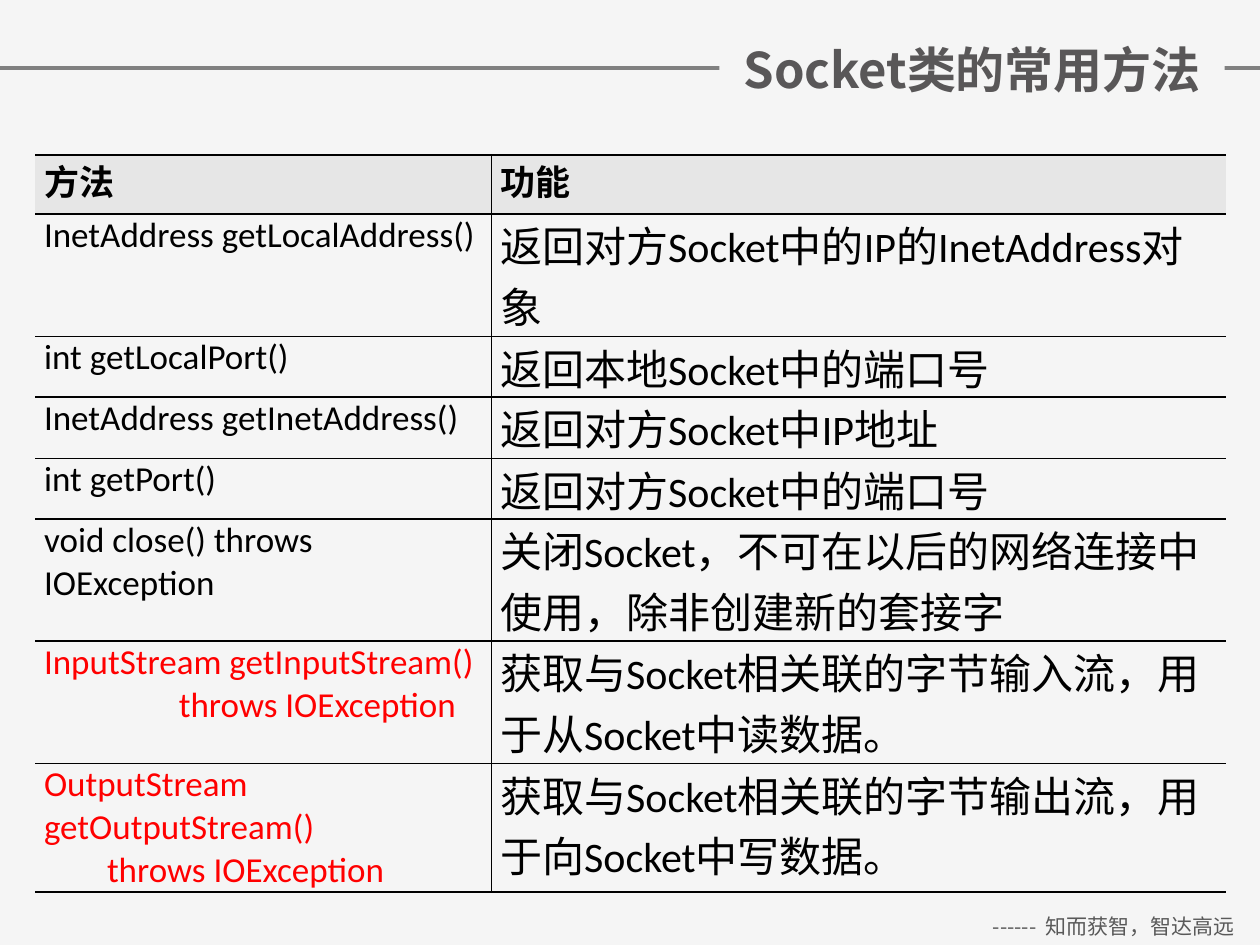
from lxml import etree
from pptx import Presentation, util as u
from pptx.dml.color import RGBColor
from pptx.enum import shapes, text
from pptx.oxml.ns import qn

COLORS = {"bg": "F5F5F5", "rule": "808080", "title": "595758", "footer": "595959",
          "header": "E6E6E6", "black": "000000", "red": "FF0000"}
CJK = "Noto Sans CJK SC"


def style(p, size, color, name, bold=False, align=None):
    p.alignment = align
    p.font.size = u.Pt(size)
    p.font.name = name
    p.font.bold = bold
    p.font.color.rgb = RGBColor.from_string(COLORS[color])


def border(cell, side, width):
    ln = etree.SubElement(cell._tc.get_or_add_tcPr(), qn(f"a:ln{side}"), w=str(u.Pt(width)))
    if width:
        fill = etree.SubElement(ln, qn("a:solidFill"))
        etree.SubElement(fill, qn("a:srgbClr"), val=COLORS["black"])
    else:
        etree.SubElement(ln, qn("a:noFill"))


prs = Presentation()
prs.slide_width, prs.slide_height = u.Inches(10), u.Inches(7.5)
s = prs.slides.add_slide(prs.slide_layouts[6])
s.background.fill.solid()
s.background.fill.fore_color.rgb = RGBColor.from_string(COLORS["bg"])

# Rule across the top
rule = s.shapes.add_connector(shapes.MSO_CONNECTOR.STRAIGHT, u.Inches(0), u.Inches(0.54),
                              u.Inches(10), u.Inches(0.54))
rule.line.color.rgb = RGBColor.from_string(COLORS["rule"])
rule.line.width = u.Pt(2)
etree.SubElement(rule._element.spPr, qn("a:effectLst"))

# Footer motto
tb = s.shapes.add_textbox(u.Inches(7.68), u.Inches(7.2), u.Inches(2.32), u.Inches(0.3))
tb.text_frame.word_wrap = True
tb.text_frame.auto_size = text.MSO_AUTO_SIZE.SHAPE_TO_FIT_TEXT
p = tb.text_frame.paragraphs[0]
p.text = "------  知而获智，智达高远"
style(p, 12, "footer", CJK, align=text.PP_ALIGN.CENTER)

# Title, covering part of the rule
sp = s.shapes.add_shape(shapes.MSO_SHAPE.RECTANGLE, u.Inches(5.71), u.Inches(0.26),
                        u.Inches(4.01), u.Inches(0.57))
sp.shadow.inherit = False
sp.fill.solid()
sp.fill.fore_color.rgb = RGBColor.from_string(COLORS["bg"])
sp.line.fill.background()
tf = sp.text_frame
tf.word_wrap = True
tf.vertical_anchor = text.MSO_ANCHOR.MIDDLE
p = tf.paragraphs[0]
p.text = "Socket类的常用方法"
style(p, 28, "title", CJK, bold=True, align=text.PP_ALIGN.CENTER)

# Method table: height, method, function, indent of the throws clause, method colour
rows = [
    (0.47, "方法", "功能", 0, "black"),
    (0.97, "InetAddress getLocalAddress()", "返回对方Socket中的IP的InetAddress对象", 0, "black"),
    (0.48, "int getLocalPort()", "返回本地Socket中的端口号", 0, "black"),
    (0.49, "InetAddress getInetAddress()", "返回对方Socket中IP地址", 0, "black"),
    (0.48, "int getPort()", "返回对方Socket中的端口号", 0, "black"),
    (0.97, "void close() throws IOException",
     "关闭Socket，不可在以后的网络连接中使用，除非创建新的套接字", 0, "black"),
    (0.97, "InputStream getInputStream()\nthrows IOException",
     "获取与Socket相关联的字节输入流，用于从Socket中读数据。", 1.07, "red"),
    (1.02, "OutputStream getOutputStream()\nthrows IOException",
     "获取与Socket相关联的字节输出流，用于向Socket中写数据。", 0.5, "red"),
]
last = len(rows) - 1
table = s.shapes.add_table(len(rows), 2, u.Inches(0.28), u.Inches(1.23), u.Inches(9.45),
                           u.Inches(sum(row[0] for row in rows))).table
table.first_row = table.horz_banding = False
for col, width in zip(table.columns, (3.62, 5.83)):
    col.width = u.Inches(width)

for i, (height, method, function, indent, color) in enumerate(rows):
    table.rows[i].height = u.Inches(height)
    for j, words in enumerate((method, function)):
        cell = table.cell(i, j)
        cell.margin_left = cell.margin_right = u.Inches(0.07)
        cell.margin_top = cell.margin_bottom = 0
        # Open outer sides, heavier top and bottom edges
        for side, width in (("L", j), ("R", 1 - j), ("T", 1.5 if i == 0 else 1),
                            ("B", 1.5 if i == last else 1)):
            border(cell, side, width)
        if i == 0:
            cell.fill.solid()
            cell.fill.fore_color.rgb = RGBColor.from_string(COLORS["header"])
        else:
            cell.fill.background()
        cell.text = words
        for n, p in enumerate(cell.text_frame.paragraphs):
            style(p, 24 if i and j else 20, "black" if j else color, "Calibri", bold=i == 0,
                  align=text.PP_ALIGN.LEFT if i else text.PP_ALIGN.JUSTIFY)
            if n:
                p._p.get_or_add_pPr().set("marL", str(u.Inches(indent)))

prs.save("out.pptx")
